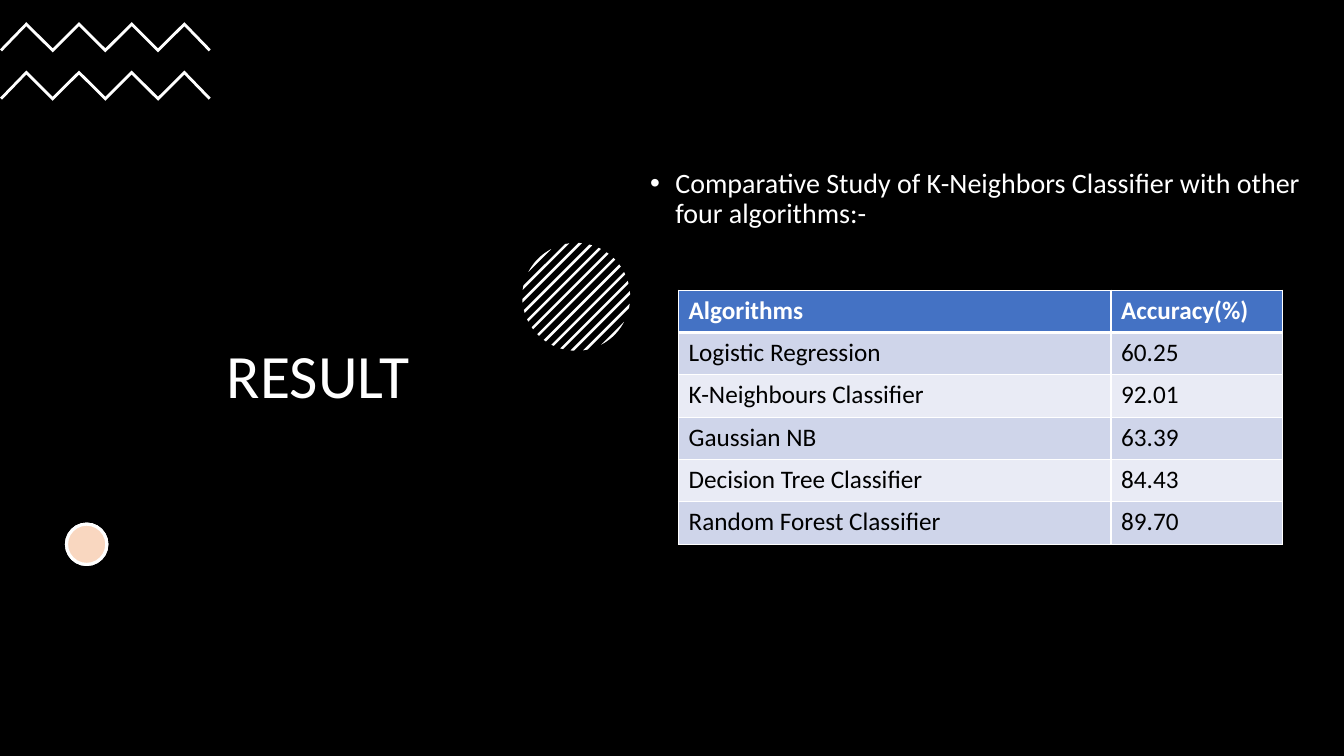
from math import acos, cos, pi, sin, sqrt

from lxml import etree
from pptx import Presentation
from pptx.dml.color import RGBColor
from pptx.enum.shapes import MSO_SHAPE
from pptx.enum.text import MSO_ANCHOR, PP_ALIGN
from pptx.oxml.ns import qn
from pptx.util import Inches, Pt

RECT, OVAL = MSO_SHAPE.RECTANGLE, MSO_SHAPE.OVAL
MIDDLE, TOP = MSO_ANCHOR.MIDDLE, MSO_ANCHOR.TOP
LEFT, CENTER = PP_ALIGN.LEFT, PP_ALIGN.CENTER

# Content
TITLE = "RESULT"
BODY = "Comparative Study of K-Neighbors Classifier with other four algorithms:-"
TABLE = [
    ("Algorithms", "Accuracy(%)"),
    ("Logistic Regression", "60.25"),
    ("K-Neighbours Classifier", "92.01"),
    ("Gaussian NB", "63.39"),
    ("Decision Tree Classifier", "84.43"),
    ("Random Forest Classifier", "89.70"),
]

# Theme and layout, lengths in inches and sizes in points
THEME = {
    "font": "Calibri", "title": 44, "body": 20, "cell": 18,
    "back": "000000", "light": "FFFFFF", "dark": "000000", "dot": "ED7D31",
    "header": "4472C4", "bands": ("CFD5EA", "E9EBF5"),
}
SLIDE_W, SLIDE_H = 13.33, 7.5
COL_WIDTHS, ROW_H = (4.29, 1.7), 0.42
ZIGZAG_TOPS, ZIGZAG_W, ZIGZAG_STEPS = (0.22, 0.7), 2.09, 8
DISC_X, DISC_Y, DISC_R = 5.715, 2.945, 0.535
STRIPE_GAP, STRIPE_HALF, STRIPES_PER_SIDE = 0.74 / 6, 0.018, 6
DOT = (0.66, 5.2, 0.4, 0.4)


def rgb(name):
    return RGBColor.from_string(THEME.get(name, name))


def add_shape(shapes, kind, box, fill, line_pt=0):
    sp = shapes.add_shape(kind, *map(Inches, box))
    sp.shadow.inherit = False
    sp.fill.solid()
    sp.fill.fore_color.rgb = rgb(fill)
    if line_pt:
        sp.line.color.rgb = rgb("light")
        sp.line.width = Pt(line_pt)
    else:
        sp.line.fill.background()
    return sp


def add_outline(shapes, points):
    pts = [(Inches(x), Inches(y)) for x, y in points]
    builder = shapes.build_freeform(*pts[0])
    builder.add_line_segments(pts[1:], close=True)
    sp = builder.convert_to_shape()
    sp.shadow.inherit = False
    sp.fill.solid()
    sp.fill.fore_color.rgb = rgb("light")
    sp.line.fill.background()


def style_run(p, size, color, bold=False):
    font = p.runs[0].font
    font.name, font.size, font.bold = THEME["font"], Pt(THEME[size]), bold
    font.color.rgb = rgb(color)


def add_text(shapes, box, text, size, anchor, align):
    tf = shapes.add_textbox(*map(Inches, box)).text_frame
    tf.word_wrap = True
    tf.vertical_anchor = anchor
    p = tf.paragraphs[0]
    p.text = text
    p.alignment, p.line_spacing = align, 0.9
    style_run(p, size, "light")
    return p


def zigzag_points(top):
    step = ZIGZAG_W / ZIGZAG_STEPS
    inner = [(i * step, top + (0 if i % 2 else 0.26))
             for i in range(1, ZIGZAG_STEPS)]
    upper = [(0, top + 0.27), *inner, (ZIGZAG_W, top + 0.27)]
    lower = [(0.02, top + 0.29), *((x, y + 0.04) for x, y in inner),
             (ZIGZAG_W - 0.02, top + 0.29)]
    return upper + lower[::-1]


def stripe_points(offset, steps=8):
    """Diagonal band of the disc between two lines of constant x + y."""
    reach = DISC_R * sqrt(2)
    start, end = (acos(max(-1, min(1, (offset + d) / reach)))
                  for d in (-STRIPE_HALF, STRIPE_HALF))
    arc = [start + (end - start) * i / steps for i in range(steps + 1)]
    angles = [pi / 4 + a for a in arc] + [pi / 4 - a for a in arc[::-1]]
    return [(DISC_X + DISC_R * cos(a), DISC_Y + DISC_R * sin(a)) for a in angles]


def set_borders(cell, widths):
    tcPr = cell._tc.get_or_add_tcPr()
    for i, (side, width) in enumerate(widths.items()):
        ln = etree.Element(qn("a:ln" + side), w=str(Pt(width)))
        fill = etree.SubElement(ln, qn("a:solidFill"))
        etree.SubElement(fill, qn("a:srgbClr"), val=THEME["light"])
        tcPr.insert(i, ln)


def add_results(shapes):
    table = shapes.add_table(
        len(TABLE), len(COL_WIDTHS), Inches(6.73), Inches(2.88),
        Inches(sum(COL_WIDTHS)), Inches(ROW_H * len(TABLE))).table
    table.horz_banding = False
    for col, width in zip(table.columns, COL_WIDTHS):
        col.width = Inches(width)
    for r, values in enumerate(TABLE):
        table.rows[r].height = Inches(ROW_H)
        for c, value in enumerate(values):
            cell = table.cell(r, c)
            cell.text = value
            style_run(cell.text_frame.paragraphs[0], "cell",
                      "dark" if r else "light", bold=r == 0)
            cell.fill.solid()
            cell.fill.fore_color.rgb = rgb(
                THEME["bands"][(r - 1) % 2] if r else "header")
            set_borders(cell, {"L": 1, "R": 1, "T": 3 if r == 1 else 1,
                               "B": 1 if r else 3})


def main():
    prs = Presentation()
    prs.slide_width, prs.slide_height = Inches(SLIDE_W), Inches(SLIDE_H)
    shapes = prs.slides.add_slide(prs.slide_layouts[6]).shapes

    # Background and title
    add_shape(shapes, RECT, (0, 0, SLIDE_W, SLIDE_H), "back")
    add_text(shapes, (1.21, 0.76, 3.89, 5.99), TITLE, "title", MIDDLE, CENTER)

    # Zigzags and striped disc
    zigzags = shapes.add_group_shape().shapes
    for top in ZIGZAG_TOPS:
        add_outline(zigzags, zigzag_points(top))
    disc = shapes.add_group_shape().shapes
    for k in range(-STRIPES_PER_SIDE, STRIPES_PER_SIDE + 1):
        add_outline(disc, stripe_points(k * STRIPE_GAP))

    # Tinted dot over a white one
    add_shape(shapes, OVAL, DOT, "light", 2.25)
    dot = add_shape(shapes, OVAL, DOT, "dot", 2.25)
    color = dot._element.spPr.find(qn("a:solidFill")).find(qn("a:srgbClr"))
    etree.SubElement(color, qn("a:alpha"), val="30000")

    # Bulleted statement
    p = add_text(shapes, (6.35, 1.63, 6.84, 5.12), BODY, "body", TOP, LEFT)
    p.space_before = Pt(10)
    pPr = p._p.get_or_add_pPr()
    pPr.set("marL", str(Inches(0.25)))
    pPr.set("indent", str(-Inches(0.25)))
    etree.SubElement(pPr, qn("a:buFont"), typeface="Arial")
    etree.SubElement(pPr, qn("a:buChar"), char="•")

    # Accuracy table
    add_results(shapes)
    prs.save("out.pptx")


if __name__ == "__main__":
    main()
